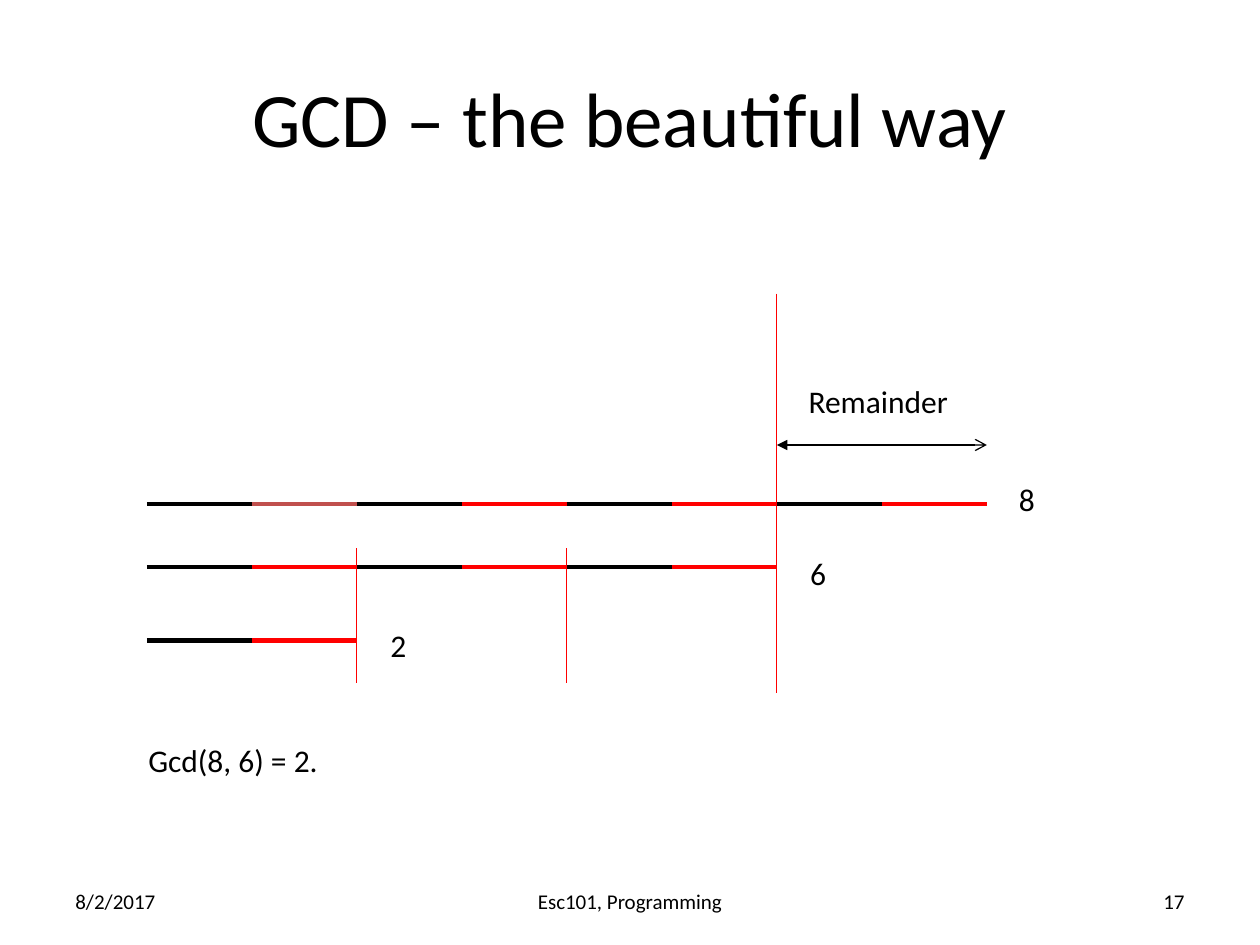
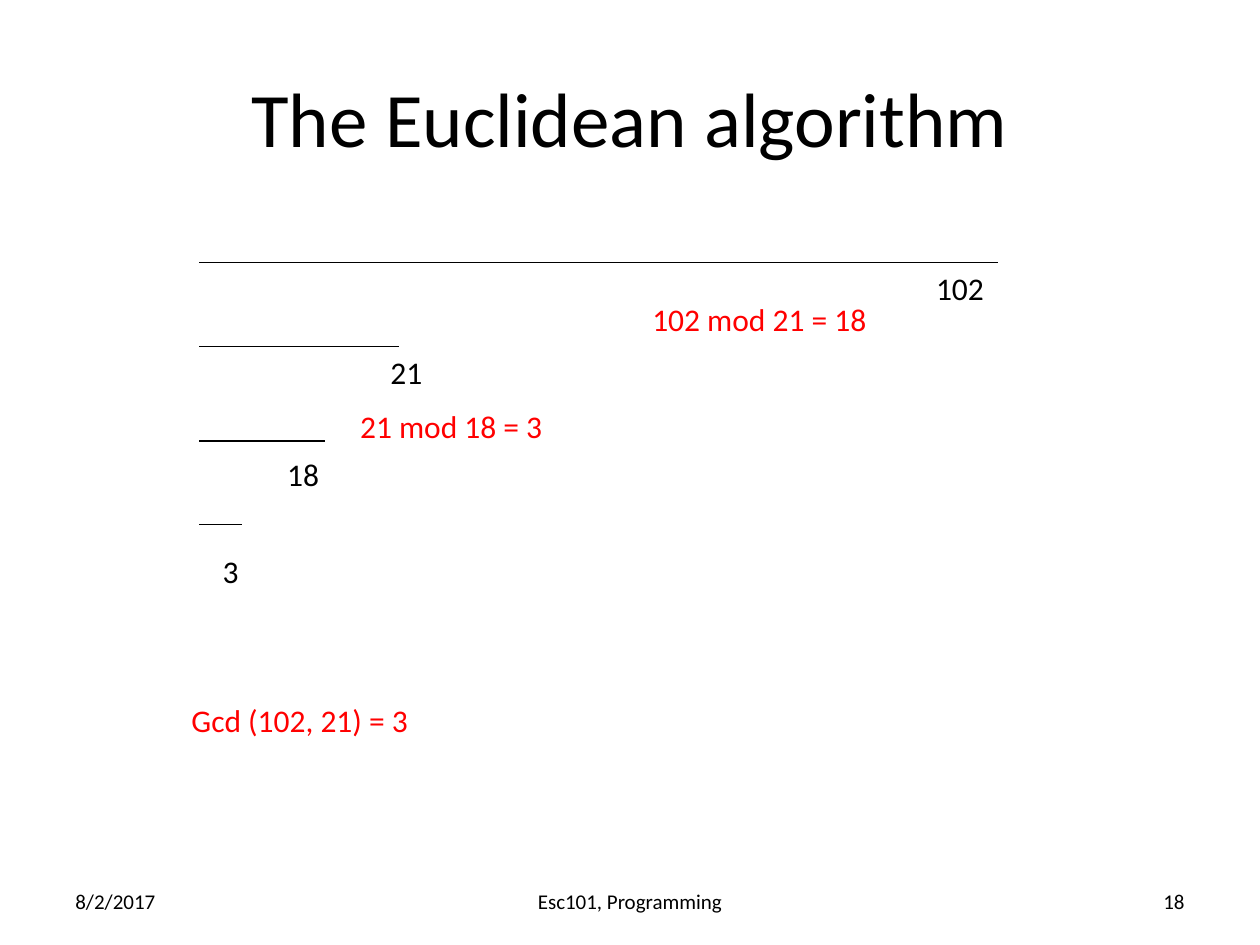
from lxml.etree import SubElement
from pptx import Presentation
from pptx.dml.color import RGBColor
from pptx.enum.shapes import MSO_CONNECTOR as Connector
from pptx.enum.text import MSO_ANCHOR as Anchor, MSO_AUTO_SIZE as AutoSize, PP_ALIGN as Align
from pptx.oxml.ns import qn
from pptx.util import Cm, Pt

BLACK, RED, DULL_RED = "000000", "FF0000", "C0504D"
FONT = "Calibri"
THIN, THICK = 0.75, 2.75
LABEL_HEIGHT = 1.02
UNIT = 25.4 / 12
BAR_LEFT = 2.96
STEP_LEFT = 4.02


def color(code):
    return RGBColor.from_string(code)


class Lecture:
    def __init__(self, deck):
        self.deck = deck
        self.page = None

    def add_page(self, title, number):
        self.page = self.deck.slides.add_slide(self.deck.slide_layouts[5])
        heading = self.page.shapes.title
        self.place(heading, 1.27, 0.76, 22.86, 3.18)
        heading.text_frame.vertical_anchor = Anchor.MIDDLE
        self.add_text(heading, title, 44, align=Align.CENTER)
        for left, width, text, align in (
            (1.27, 5.93, "8/2/2017", Align.LEFT),
            (8.68, 8.04, "Esc101, Programming", Align.CENTER),
            (18.2, 5.93, number, Align.RIGHT),
        ):
            self.footer(left, width, text, align)

    def place(self, shape, left, top, width, height):
        shape.left, shape.top = Cm(left), Cm(top)
        shape.width, shape.height = Cm(width), Cm(height)

    def add_text(self, shape, text, size, ink=BLACK, align=Align.LEFT):
        para = shape.text_frame.paragraphs[0]
        para.alignment = align
        span = para.add_run()
        span.text = text
        span.font.name = FONT
        span.font.size = Pt(size)
        span.font.color.rgb = color(ink)

    def text_box(self, left, top, width):
        return self.page.shapes.add_textbox(Cm(left), Cm(top), Cm(width), Cm(LABEL_HEIGHT))

    def footer(self, left, width, text, align):
        box = self.text_box(left, 17.65, width)
        box.text_frame.word_wrap = True
        box.text_frame.vertical_anchor = Anchor.MIDDLE
        self.add_text(box, text, 12, align=align)

    def label(self, left, top, width, text, ink=BLACK):
        box = self.text_box(left, top, width)
        box.text_frame.word_wrap = False
        box.text_frame.auto_size = AutoSize.SHAPE_TO_FIT_TEXT
        self.add_text(box, text, 18, ink)

    def line(self, start, end, ink=BLACK, weight=THIN, head=None, tail=None):
        x1, y1, x2, y2 = (Cm(value) for value in (*start, *end))
        connector = self.page.shapes.add_connector(Connector.STRAIGHT, x1, y1, x2, y2)
        connector.line.color.rgb = color(ink)
        connector.line.width = Pt(weight)
        properties = connector._element.spPr
        outline = properties.find(qn("a:ln"))
        for tag, kind in (("a:headEnd", head), ("a:tailEnd", tail)):
            if kind:
                SubElement(outline, qn(tag), type=kind)
        SubElement(properties, qn("a:effectLst"))

    def unit_bar(self, top, length, inks=None):
        inks = inks or {}
        for index in range(length):
            ink = inks.get(index, RED if index % 2 else BLACK)
            self.line((mark(index), top), (mark(index + 1), top), ink, THICK)


def mark(count):
    return BAR_LEFT + count * UNIT


def build_bars_page(lecture):
    lecture.add_page("GCD – the beautiful way", "17")
    lecture.unit_bar(10.16, 8, {1: DULL_RED})
    lecture.unit_bar(11.43, 6)
    lecture.unit_bar(12.91, 2)
    lecture.line((mark(6), 8.97), (mark(8), 8.97), head="triangle", tail="arrow")
    for left, top, width, text in (
        (16.05, 7.57, 3.66, "Remainder"),
        (20.29, 9.55, 0.86, "8"),
        (16.08, 11.05, 0.86, "6"),
        (7.62, 12.5, 0.86, "2"),
        (2.74, 14.81, 4.62, "Gcd(8, 6) = 2."),
    ):
        lecture.label(left, top, width, text)
    for count, top, bottom in ((6, 5.92, 13.97), (2, 11.05, 13.76), (4, 11.05, 13.76), (6, 11, 13.72)):
        lecture.line((mark(count), top), (mark(count), bottom), RED)


def build_euclid_page(lecture):
    lecture.add_page("The Euclidean algorithm", "18")
    for top, length in ((5.29, 16.09), (6.99, 4.02), (8.89, 2.54), (10.58, 0.85)):
        lecture.line((STEP_LEFT, top), (STEP_LEFT + length, top))
    for left, top, width, text, ink in (
        (18.62, 5.29, 1.57, "102", BLACK),
        (7.62, 6.99, 1.22, "21", BLACK),
        (5.54, 9.04, 1.22, "18", BLACK),
        (4.24, 11, 0.86, "3", BLACK),
        (12.9, 5.92, 5.33, "102 mod 21 = 18", RED),
        (7.01, 8.08, 4.62, "21 mod 18 = 3", RED),
        (3.61, 14, 5.51, "Gcd (102, 21) = 3", RED),
    ):
        lecture.label(left, top, width, text, ink)


def main():
    deck = Presentation()
    deck.slide_width, deck.slide_height = Cm(25.4), Cm(19.05)
    lecture = Lecture(deck)
    build_bars_page(lecture)
    build_euclid_page(lecture)
    deck.save("out.pptx")


if __name__ == "__main__":
    main()
